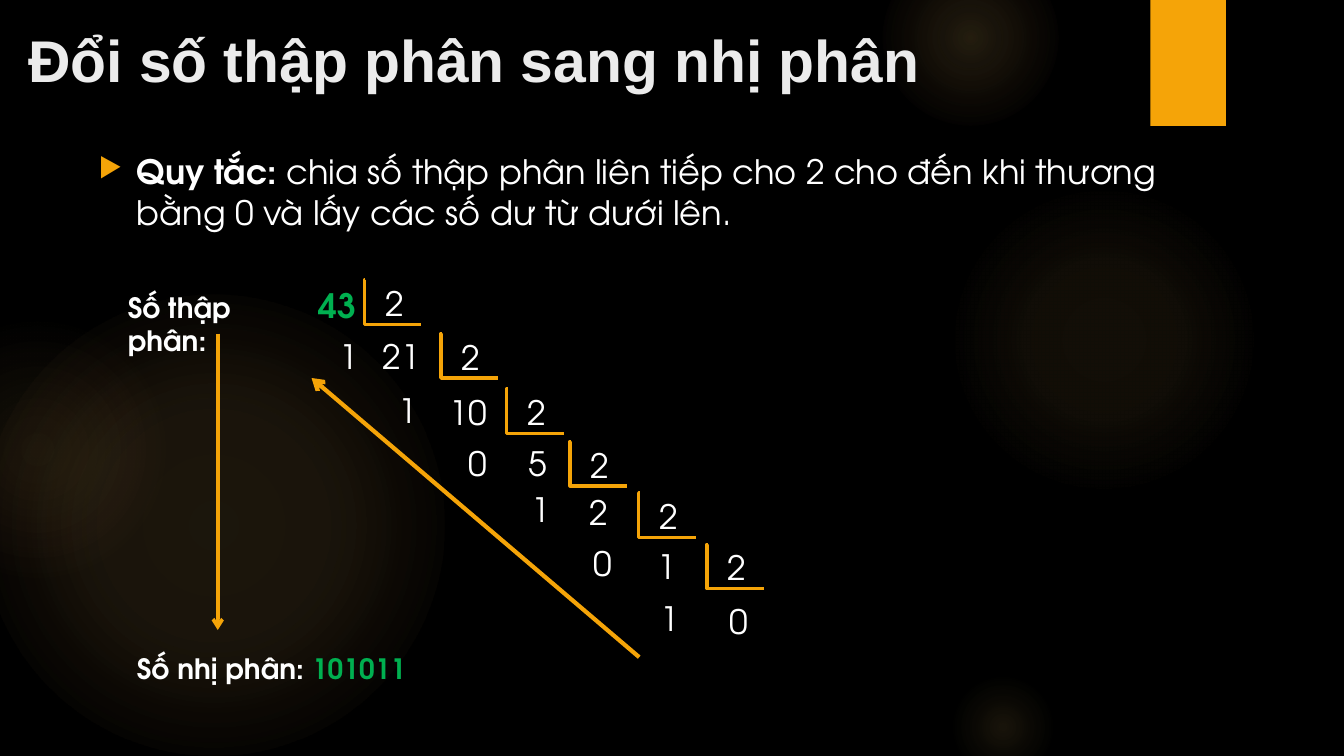
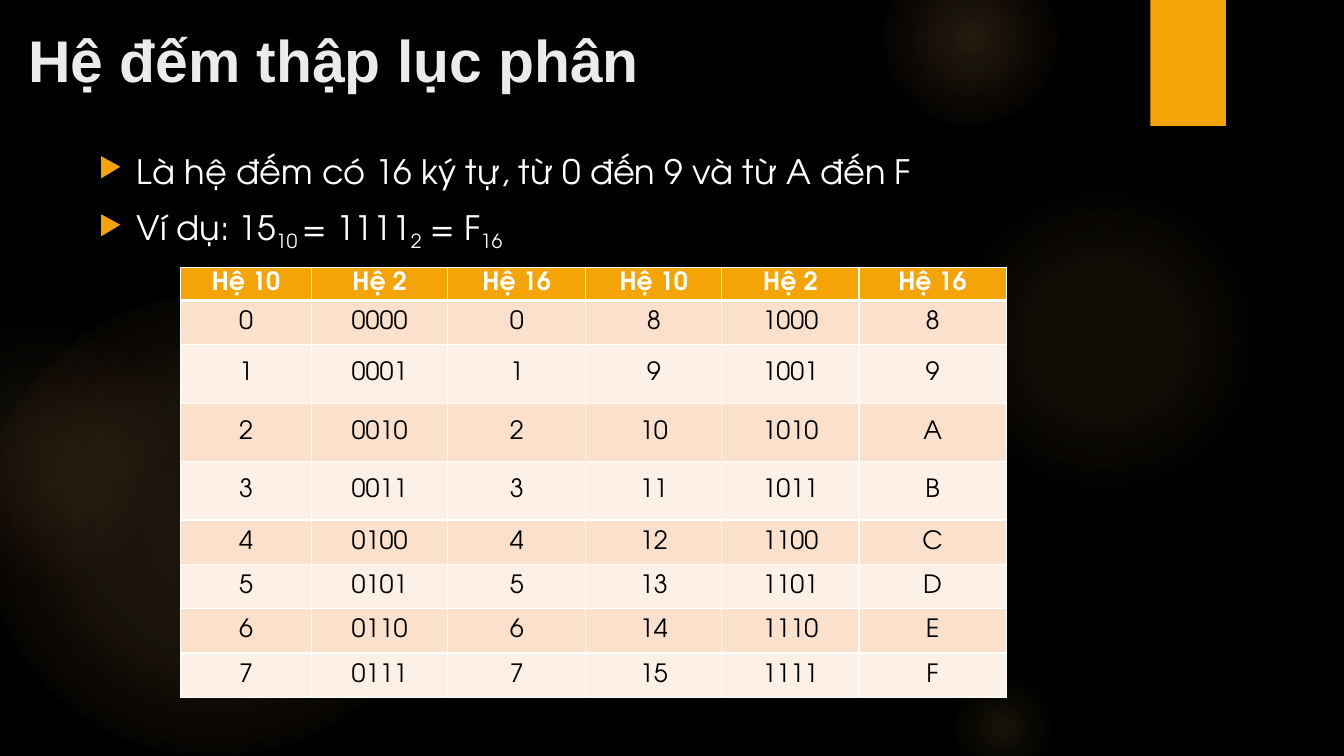
import dataclasses

import pptx
import pptx.dml.color
import pptx.enum.shapes
import pptx.enum.text
import pptx.oxml
import pptx.oxml.ns
import pptx.util

Inches = pptx.util.Inches
Pt = pptx.util.Pt
qn = pptx.oxml.ns.qn
Shape = pptx.enum.shapes.MSO_SHAPE
Connector = pptx.enum.shapes.MSO_CONNECTOR
Align = pptx.enum.text.PP_ALIGN
Anchor = pptx.enum.text.MSO_ANCHOR


@dataclasses.dataclass(frozen=True)
class Theme:
    background: str = "000000"
    accent: str = "F5A408"
    glow: str = "FAC96A"
    glow_edge: str = "F59B74"
    title: str = "EBEBEB"
    text: str = "FFFFFF"
    cell_text: str = "000000"
    highlight: str = "00B050"
    bands: tuple = ("FBE0CC", "FDF0E7")
    title_font: str = "Arial"
    body_font: str = "TeX Gyre Adventor"
    title_size: int = 42
    body_size: int = 24
    label_size: int = 20
    cell_size: int = 18


THEME = Theme()

# left, top, diameter, gradient stops as (position %, colour, opacity %)
GLOWS = [
    (-0.17, 2.92, 4.58, [(0, THEME.glow, 11), (36, THEME.glow, 10), (75, THEME.glow, 0)]),
    (-0.92, 3.17, 2.58, [(0, THEME.glow, 8), (36, THEME.glow, 5), (71, THEME.glow_edge, 0)]),
    (9.41, 1.83, 3.08, [(0, THEME.glow, 7), (36, THEME.glow, 6), (69, THEME.glow, 0)]),
    (8.75, -0.5, 1.75, [(0, THEME.glow, 14), (36, THEME.glow, 7), (73, THEME.glow, 0)]),
    (9.41, 6.67, 1.08, [(0, THEME.glow, 10), (31, THEME.glow, 5), (66, THEME.glow, 0)]),
]

# positions of bracket, quotient and remainder for each division
DIVISION_STEPS = [
    ((3.62, 2.78), (3.7, 3.28), (3.27, 3.28)),
    ((4.38, 3.31), (4.36, 3.84), (3.85, 3.82)),
    ((5.03, 3.86), (5.14, 4.34), (4.55, 4.34)),
    ((5.66, 4.38), (5.75, 4.83), (5.17, 4.8)),
    ((6.34, 4.89), (6.42, 5.37), (5.79, 5.34)),
    ((7.02, 5.4), (7.14, 5.91), (6.45, 5.88)),
]


def rgb(color):
    return pptx.dml.color.RGBColor.from_string(color)


def xml(tag, attributes="", content=""):
    """Build one DrawingML element."""
    namespace = pptx.oxml.ns.nsdecls("a")
    return pptx.oxml.parse_xml(f"<a:{tag} {namespace} {attributes}>{content}</a:{tag}>")


def solid(color):
    return f'<a:solidFill><a:srgbClr val="{color}"/></a:solidFill>'


class Slides:
    def __init__(self, theme):
        self.theme = theme
        self.deck = pptx.Presentation()
        self.deck.slide_width = Inches(13.33)
        self.deck.slide_height = Inches(7.5)
        self.page = None

    def new_page(self, title):
        self.page = self.deck.slides.add_slide(self.deck.slide_layouts[6])
        fill = self.page.background.fill
        fill.solid()
        fill.fore_color.rgb = rgb(self.theme.background)
        for left, top, diameter, stops in GLOWS:
            self.glow(left, top, diameter, stops)
        tab = self.shape(Shape.RECTANGLE, 11.41, 0, 0.75, 1.25)
        tab.fill.solid()
        tab.fill.fore_color.rgb = rgb(self.theme.accent)
        style = dict(name=self.theme.title_font, size=self.theme.title_size,
                     color=self.theme.title, bold=True)
        heading = self.text(0.18, 0.14, 10.29, 1.01, [(title, style)], wrap=True)
        heading.text_frame.margin_top = Inches(0.09)

    def shape(self, kind, left, top, width, height):
        shape = self.page.shapes.add_shape(
            kind, Inches(left), Inches(top), Inches(width), Inches(height))
        shape.shadow.inherit = False
        shape.line.fill.background()
        return shape

    def glow(self, left, top, diameter, stops):
        circle = self.shape(Shape.OVAL, left, top, diameter, diameter)
        marks = "".join(
            f'<a:gs pos="{position * 1000}"><a:srgbClr val="{color}">'
            f'<a:alpha val="{opacity * 1000}"/></a:srgbClr></a:gs>'
            for position, color, opacity in stops)
        center = '<a:fillToRect l="50000" t="50000" r="50000" b="50000"/>'
        gradient = xml("gradFill", 'rotWithShape="1"',
                       f'<a:gsLst>{marks}</a:gsLst><a:path path="circle">{center}</a:path>')
        circle._element.spPr.find(qn("a:prstGeom")).addnext(gradient)

    def add_spans(self, para, spans):
        """Add (text, format) spans; each format overrides the body style."""
        for text, changes in spans:
            style = dict(name=self.theme.body_font, size=self.theme.body_size,
                         color=self.theme.text, bold=False) | changes
            span = para.add_run()
            span.text = text
            span.font.color.rgb = rgb(style.pop("color"))
            baseline = style.pop("baseline", None)
            style["size"] = Pt(style["size"])
            for key, value in style.items():
                setattr(span.font, key, value)
            if baseline:
                span.font._element.set("baseline", str(baseline * 1000))

    def text(self, left, top, width, height, spans, wrap=False):
        box = self.page.shapes.add_textbox(
            Inches(left), Inches(top), Inches(width), Inches(height))
        box.text_frame.word_wrap = wrap
        self.add_spans(box.text_frame.paragraphs[0], spans)
        return box

    def digits(self, position, value, **style):
        text = str(value)
        width = 0.57 if len(text) > 1 else 0.39
        self.text(*position, width, 0.5, [(text, style)])

    def label(self, left, top, width, spans, wrap=False):
        style = dict(size=self.theme.label_size, bold=True)
        spans = [(text, style | changes) for text, changes in spans]
        self.text(left, top, width, 0.44, spans, wrap)

    def bullets(self, height, items):
        box = self.text(0.88, 1.45, 11.49, height, [], wrap=True)
        frame = box.text_frame
        for index, spans in enumerate(items):
            para = frame.add_paragraph() if index else frame.paragraphs[0]
            para.space_before = Pt(0.2 * self.theme.body_size)
            para.space_after = Pt(6)
            properties = para._element.get_or_add_pPr()
            properties.set("marL", str(Inches(0.38)))
            properties.set("indent", str(Inches(-0.38)))
            properties.append(
                xml("buClr", content=f'<a:srgbClr val="{self.theme.accent}"/>'))
            properties.append(xml("buSzPct", 'val="80000"'))
            properties.append(xml("buChar", 'char="▶"'))
            self.add_spans(para, spans)

    def connector(self, kind, start, end, width):
        line = self.page.shapes.add_connector(
            kind, *(Inches(length) for length in (*start, *end)))
        line.line.color.rgb = rgb(self.theme.accent)
        line.line.width = Pt(width)
        line._element.spPr.append(xml("effectLst"))
        return line

    def arrow(self, start, end, width):
        line = self.connector(Connector.STRAIGHT, start, end, width)
        line._element.spPr.find(qn("a:ln")).append(xml("tailEnd", 'type="arrow"'))

    def bracket(self, left, top):
        """Draw the L-shaped division sign with its divisor."""
        corner = self.connector(
            Connector.ELBOW, (left, top), (left + 0.56, top + 0.44), 2.5)
        geometry = corner._element.spPr.find(qn("a:prstGeom"))
        for guides in geometry.findall(qn("a:avLst")):
            geometry.remove(guides)
        geometry.append(xml("avLst", content='<a:gd name="adj1" fmla="val -1000"/>'))
        self.digits((left + 0.1, top - 0.02), 2)

    def table(self, left, top, widths, heights, rows):
        frame = self.page.shapes.add_table(
            len(rows), len(widths), Inches(left), Inches(top),
            Inches(sum(widths)), Inches(sum(heights)))
        grid = frame.table
        grid.horz_banding = False
        for column, width in zip(grid.columns, widths):
            column.width = Inches(width)
        for index, (row, height, values) in enumerate(zip(grid.rows, heights, rows)):
            row.height = Inches(height)
            for cell, value in zip(row.cells, values):
                self.cell(cell, value, index)

    def cell(self, cell, value, row):
        theme = self.theme
        header = row == 0
        cell.fill.solid()
        cell.fill.fore_color.rgb = rgb(theme.accent if header else theme.bands[(row - 1) % 2])
        settings = dict(margin_top=0, margin_bottom=0, vertical_anchor=Anchor.MIDDLE)
        for key, setting in settings.items():
            setattr(cell, key, setting)
        para = cell.text_frame.paragraphs[0]
        para.alignment = Align.CENTER
        color = theme.text if header else theme.cell_text
        self.add_spans(para, [(value, dict(size=theme.cell_size, color=color, bold=header))])
        borders = dict(lnL=1, lnR=1, lnT=3 if row == 1 else 1, lnB=3 if header else 1)
        properties = cell._tc.get_or_add_tcPr()
        for index, (side, width) in enumerate(borders.items()):
            border = xml(side, f'w="{Pt(width)}"', solid(theme.text))
            properties.insert(index, border)


def conversion_page(slides):
    slides.new_page("Đổi số thập phân sang nhị phân")
    slides.bullets(1.69, [[
        ("Quy tắc: ", dict(bold=True)),
        ("chia số thập phân liên tiếp cho 2 cho đến khi thương bằng 0 "
         "và lấy các số dư từ dưới lên.", {}),
    ]])
    number = 43
    green = dict(color=slides.theme.highlight)
    slides.digits((3.06, 2.78), number, bold=True, **green)
    quotient = number
    for bracket, quotient_at, remainder_at in DIVISION_STEPS:
        quotient, remainder = divmod(quotient, 2)
        slides.bracket(*bracket)
        slides.digits(quotient_at, quotient)
        slides.digits(remainder_at, remainder)
    slides.arrow((6.34, 6.52), (3.09, 3.75), 3)
    slides.label(1.17, 2.83, 1.9, [("Số thập phân:", {})], wrap=True)
    slides.label(1.26, 6.41, 2.9, [("Số nhị phân: ", {}), (f"{number:b}", green)])
    slides.arrow((2.16, 3.31), (2.16, 6.25), 2.5)


def hexadecimal_page(slides):
    slides.new_page("Hệ đếm thập lục phân")
    below = dict(baseline=-25)
    slides.bullets(1.3, [
        [("Là hệ đếm có 16 ký tự, từ 0 đến 9 và từ A đến F", {})],
        [("Ví dụ: 15", {}), ("10 ", below), ("= 1111", {}), ("2", below),
         (" = F", {}), ("16", below)],
    ])
    rows = [["Hệ 10", "Hệ 2", "Hệ 16"] * 2]
    for low in range(8):
        rows.append([form for value in (low, low + 8)
                     for form in (str(value), f"{value:04b}", f"{value:X}")])
    slides.table(1.79, 2.65, [1.3, 1.35, 1.37, 1.35, 1.36, 1.46],
                 [0.33, 0.44] + [0.58] * 3 + [0.44] * 4, rows)


def main():
    slides = Slides(THEME)
    conversion_page(slides)
    hexadecimal_page(slides)
    slides.deck.save("out.pptx")


if __name__ == "__main__":
    main()
